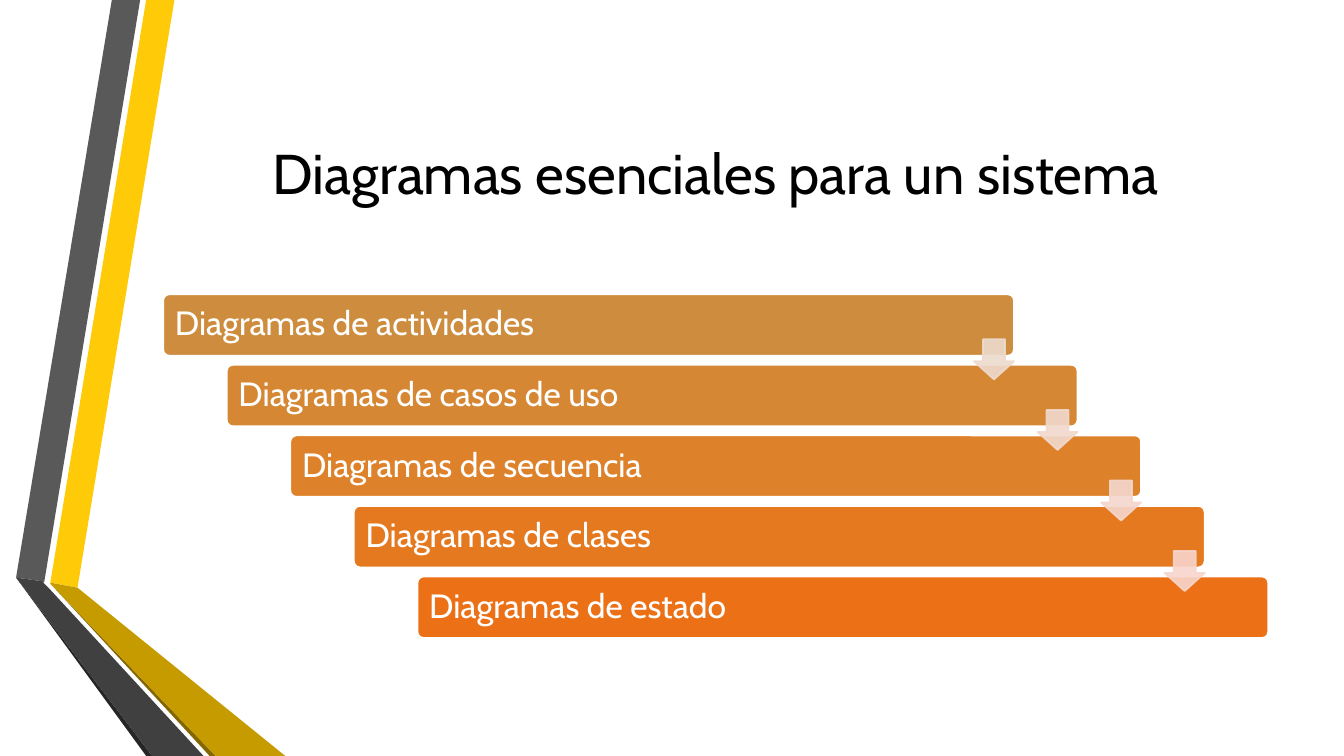
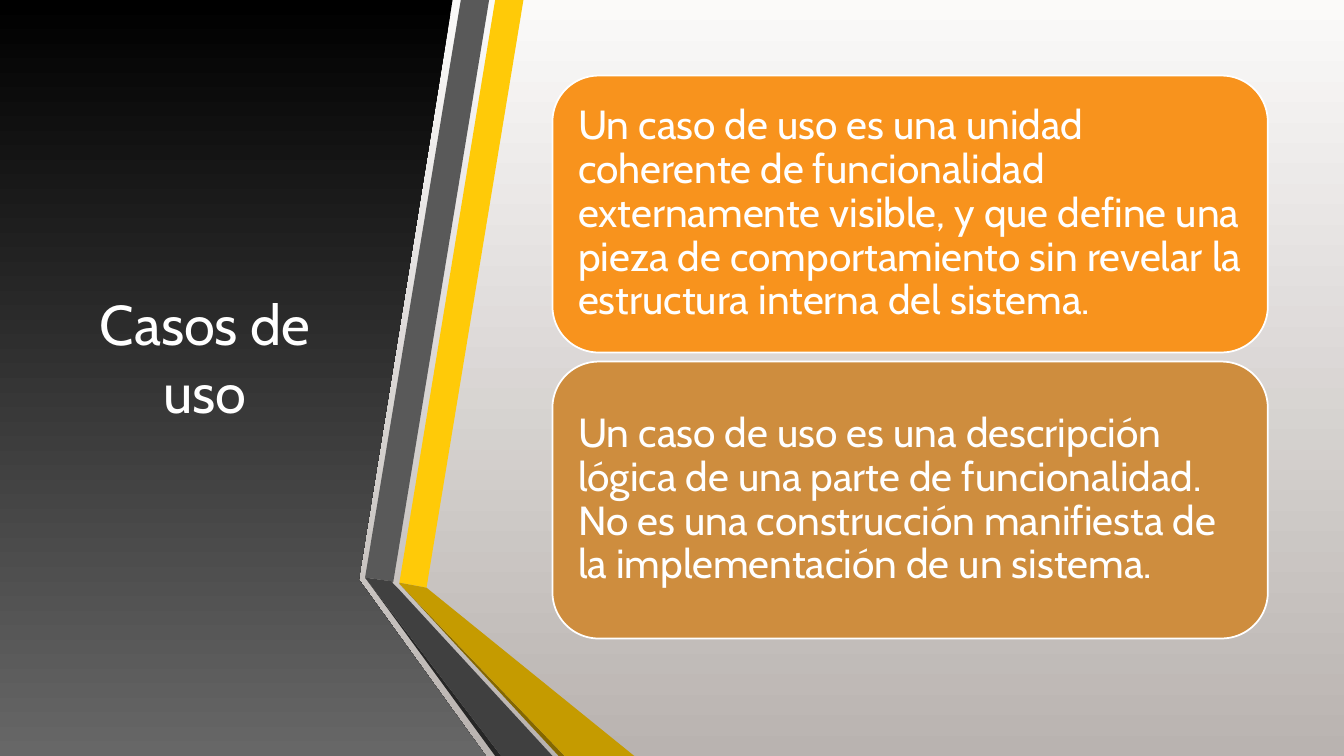
from lxml import etree
from pptx import Presentation
from pptx.dml.color import RGBColor
from pptx.enum import shapes, text
from pptx.oxml import ns
from pptx.util import Pt

# Content
STEPS_TITLE = "Diagramas esenciales para un sistema"
STEPS = [
    ("Diagramas de actividades", "step1"),
    ("Diagramas de casos de uso", "step2"),
    ("Diagramas de secuencia", "step3"),
    ("Diagramas de clases", "step4"),
    ("Diagramas de estado", "step5"),
]
ARROWS = ["arrow1", "arrow2", "arrow3", "arrow4"]
USE_CASE_TITLE = "Casos de uso"
USE_CASE_CARDS = [
    ("Un caso de uso es una unidad coherente de funcionalidad externamente "
     "visible, y que define una pieza de comportamiento sin revelar la "
     "estructura interna del sistema.", "orange"),
    ("Un caso de uso es una descripción lógica de una parte de funcionalidad. "
     "No es una construcción manifiesta de la implementación de un sistema.",
     "step1"),
]

# Shared style
FONT = "Cabin"
COLORS = {
    "white": "FFFFFF", "black": "000000", "orange": "F8931D",
    "step1": "CE8D3E", "step2": "D58734", "step3": "DD812A",
    "step4": "E47920", "step5": "EC7016",
    "arrow1": "EDDBCE", "arrow2": "F1D9CD", "arrow3": "F4D7CD",
    "arrow4": "F8D5CC",
    "yellow": "FFCA08", "gold": "C59B00", "gold edge": "846700",
    "grey": "595959", "charcoal": "404040", "charcoal edge": "262626",
    "paper top": "FBFAF9", "paper bottom": "B9B3B0", "panel bottom": "676767",
}
WIDTH, HEIGHT = 960, 540
RIBBONS = [
    ("yellow", [(36, 416.2), (55.4, 419.8), (124.6, 0), (104.4, 0)]),
    ("grey", [(100.1, 0), (79.9, 0), (11.5, 412.6), (31.7, 415.4)]),
    ("charcoal edge", [(11.5, 412.6), (104.4, HEIGHT), (108.7, HEIGHT)]),
    ("gold edge", [(36, 416.9), (149.8, HEIGHT), (154.1, HEIGHT)]),
    ("gold", [(36, 416.9), (154.1, HEIGHT), (203.8, HEIGHT), (55.4, 419.8),
              (36, 416.2)]),
    ("charcoal", [(145.4, HEIGHT), (34.6, 419.8), (31, 416.2), (31.7, 415.4),
                  (11.5, 412.6), (108.7, HEIGHT)]),
]
PANEL = [(0, 0), (323.3, 0), (256.3, 414), (347, HEIGHT), (0, HEIGHT)]


def rgb(name):
    return RGBColor.from_string(COLORS[name])


def write(shape, content, size, color="white", align=text.PP_ALIGN.LEFT,
          inset=7.2, spacing=None):
    frame = shape.text_frame
    frame.word_wrap = True
    frame.auto_size = text.MSO_AUTO_SIZE.NONE
    frame.vertical_anchor = text.MSO_ANCHOR.MIDDLE
    frame.margin_left = frame.margin_right = Pt(inset)
    frame.margin_top = frame.margin_bottom = Pt(inset)
    paragraph = frame.paragraphs[0]
    paragraph.alignment = align
    paragraph.line_spacing = spacing
    run = paragraph.add_run()
    run.text = content
    run.font.name, run.font.size = FONT, Pt(size)
    run.font.color.rgb = rgb(color)


def vertical_gradient(fill, top, bottom):
    fill.gradient()
    fill.gradient_angle = 270
    for stop, name in zip(fill.gradient_stops, (top, bottom)):
        stop.color.rgb = rgb(name)


def block(slide, kind, box, color, line, adjustments=()):
    shape = slide.shapes.add_shape(kind, *map(Pt, box))
    shape.shadow.inherit = False
    shape.fill.solid()
    shape.fill.fore_color.rgb = rgb(color)
    shape.line.color.rgb = rgb(line)
    shape.line.width = Pt(1.25)
    for i, value in enumerate(adjustments):
        shape.adjustments[i] = value
    return shape


def outline(slide, points, dx=0):
    start, *rest = [(Pt(x + dx), Pt(y)) for x, y in points]
    builder = slide.shapes.build_freeform(*start, scale=1.0)
    builder.add_line_segments(rest, close=True)
    shape = builder.convert_to_shape()
    shape.shadow.inherit = False
    shape.line.fill.background()
    return shape


def ribbons(slide, dx=0):
    for color, points in RIBBONS:
        shape = outline(slide, points, dx)
        shape.fill.solid()
        shape.fill.fore_color.rgb = rgb(color)


def place_title(slide, content, box, color):
    title = slide.shapes.title
    title.left, title.top, title.width, title.height = map(Pt, box)
    write(title, content, 40, color, text.PP_ALIGN.CENTER)
    # Bring the title in front of the decoration
    title.element.getparent().append(title.element)


def set_opacity(shape, percent):
    for color in shape.element.spPr.iter(ns.qn("a:srgbClr")):
        etree.SubElement(color, ns.qn("a:alpha"), val=str(percent * 1000))


def steps_slide(slide):
    ribbons(slide)
    place_title(slide, STEPS_TITLE, (116.6, 54, 789, 138), "black")
    left, top, width, height = 116.6, 210.2, 607.7, 43.9
    shift, pitch = 45.4, 50.4
    arrow_size, arrow_drop = 28.6, 32.2
    # Staircase of bars
    for i, (label, color) in enumerate(STEPS):
        bar = block(slide, shapes.MSO_SHAPE.ROUNDED_RECTANGLE,
                    (left + i * shift, top + i * pitch, width, height),
                    color, "white", [0.1])
        write(bar, label, 24, spacing=0.9)
    # Arrows at the right end of each bar
    for i, color in enumerate(ARROWS):
        arrow = block(slide, shapes.MSO_SHAPE.DOWN_ARROW,
                      (left + width - arrow_size + i * shift,
                       top + arrow_drop + i * pitch, arrow_size, arrow_size),
                      color, color, [0.55, 0.45])
        set_opacity(arrow, 90)


def use_case_slide(slide):
    vertical_gradient(slide.background.fill, "paper top", "paper bottom")
    panel = outline(slide, PANEL)
    vertical_gradient(panel.fill, "black", "panel bottom")
    ribbons(slide, dx=249.3)
    place_title(slide, USE_CASE_TITLE, (42.5, 54, 208, 402), "white")
    # Definition cards
    height, gap = 197.8, 6.5
    for i, (definition, color) in enumerate(USE_CASE_CARDS):
        card = block(slide, shapes.MSO_SHAPE.ROUNDED_RECTANGLE,
                     (394.6, 54 + i * (height + gap), 511, height),
                     color, "white")
        write(card, definition, 29, inset=8.7, spacing=0.9)


def main():
    deck = Presentation()
    deck.slide_width, deck.slide_height = Pt(WIDTH), Pt(HEIGHT)
    title_only = deck.slide_layouts[5]
    for build in (steps_slide, use_case_slide):
        build(deck.slides.add_slide(title_only))
    deck.save("out.pptx")


if __name__ == "__main__":
    main()
